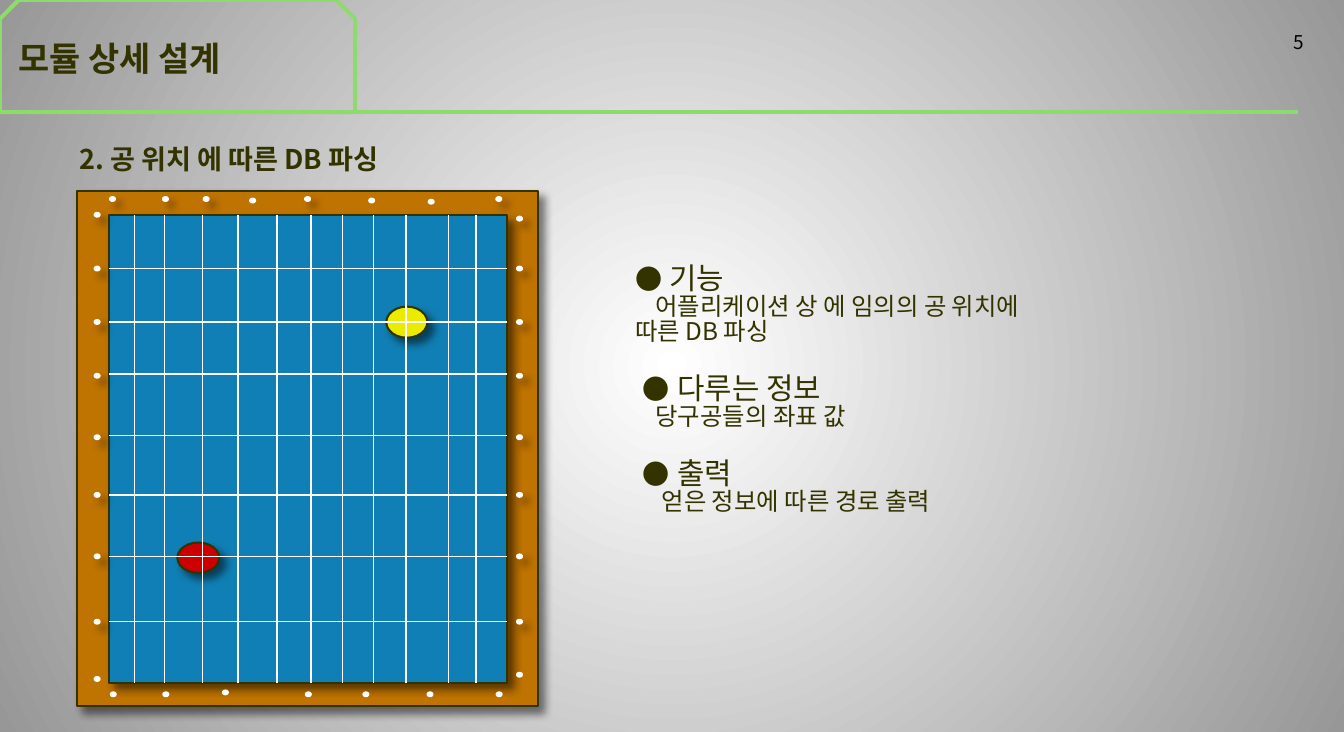
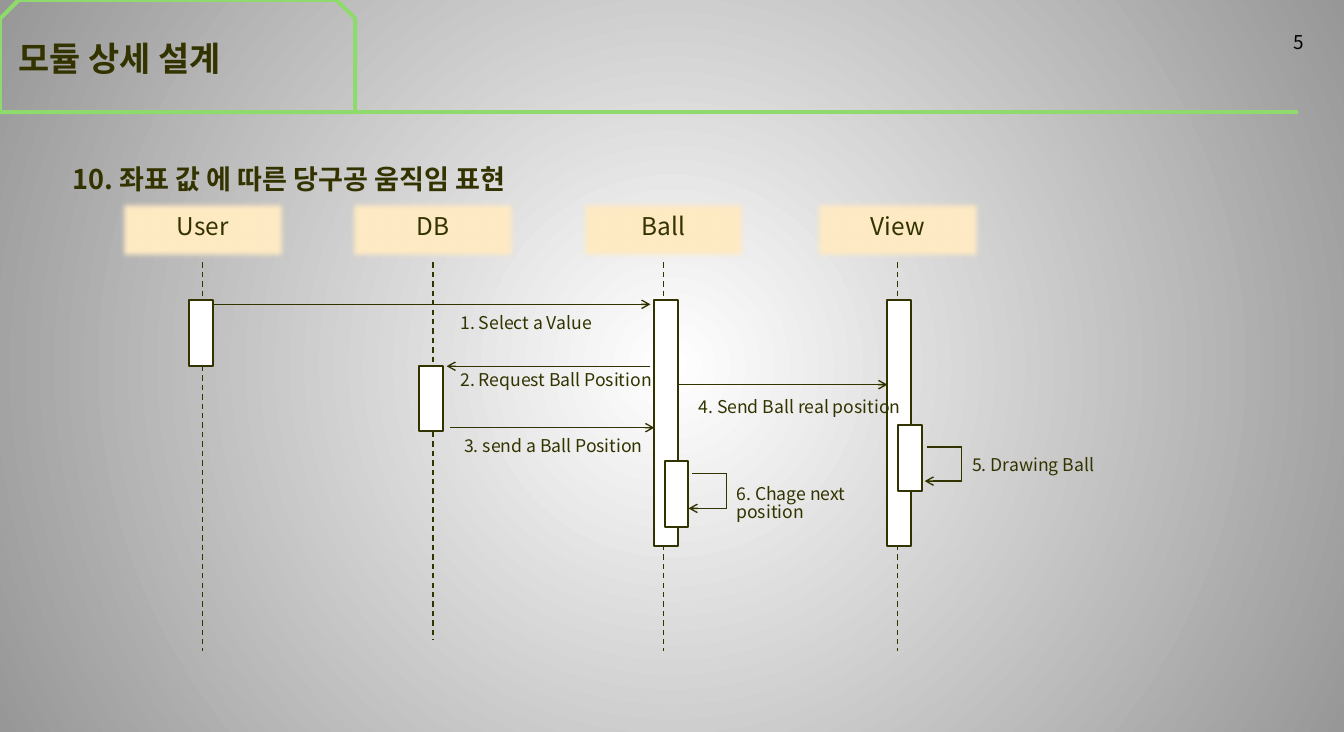
from dataclasses import dataclass

from lxml.etree import SubElement
from pptx import Presentation
from pptx.dml.color import RGBColor
from pptx.enum.dml import MSO_LINE
from pptx.enum.shapes import MSO_CONNECTOR, MSO_SHAPE
from pptx.enum.text import MSO_ANCHOR, PP_ALIGN
from pptx.oxml.ns import qn
from pptx.util import Cm, Pt


@dataclass(frozen=True)
class Theme:
    font: str = "Noto Sans CJK KR"
    ink: str = "333300"
    black: str = "000000"
    white: str = "FFFFFF"
    edge: str = "979797"
    accent: str = "8EDA6D"
    wood: str = "BF7300"
    felt: str = "107FB5"
    red: str = "CC0000"
    yellow: str = "EBEB00"
    lane: str = "FFEBC4"
    title: int = 25
    heading: int = 20
    item: int = 22
    body: int = 18
    label: int = 13
    page: int = 14
    spacing: float = 0.85


T = Theme()

# All lengths are in centimetres.
TITLE, PAGE = "모듈 상세 설계", "5"

# heading, heading offset, description, description indent
POINTS = [
    ("기능", 0, "어플리케이션 상 에 임의의 공 위치에 따른 DB 파싱", 0.53),
    ("다루는 정보", 0.2, "당구공들의 좌표 값", 0.53),
    ("출력", 0.2, "얻은 정보에 따른 경로 출력", 0.69),
]

FRAME = (2, 4.98, 12, 13.4)
FELT = (2.84, 5.59, 10.36, 12.19)
BALLS = [((4.62, 14.12, 1.09, 0.79), T.red), ((10.06, 7.98, 1.07, 0.81), T.yellow)]
ROWS = [6.99, 8.38, 9.73, 11.33, 12.88, 14.48, 16.18]
COLUMNS = [3.51, 4.29, 5.28, 6.2, 7.21, 8.1, 8.92, 9.73, 10.57, 11.68, 12.4]
SIDE_X = (2.53, 13.53)
SIDE_Y = [6.99, 8.38, 9.78, 11.38, 12.88, 14.48, 16.18]
RAISED_DOTS = (
    [(x, y) for x in SIDE_X for y in SIDE_Y]
    + [(2.53, 5.59), (13.53, 5.69)]
    + [(x, 5.18) for x in (2.93, 4.31, 5.37, 8.01, 12.99)]
)
FLAT_DOTS = (
    [(x, 18.07) for x in (2.95, 4.32, 8.03, 9.53, 11.2, 13)]
    + [(5.87, 18.02), (2.53, 17.67), (13.53, 17.56)]
    + [(6.58, 5.22), (9.68, 5.22), (11.23, 5.25)]
)

# name, centre, end of lifeline
LANES = [("User", 5.28, 16.94), ("DB", 11.28, 16.64),
         ("Ball", 17.28, 16.94), ("View", 23.38, 16.94)]
# left, top, height
ACTIVATIONS = [
    (4.93, 7.82, 1.7), (10.92, 9.53, 1.7),
    (17.04, 7.82, 6.4), (23.11, 7.82, 6.4),
    (17.32, 12.01, 1.7), (23.39, 11.07, 1.7),
]
# from x, to x, y
MESSAGES = [(5.54, 16.94, 7.92), (16.94, 11.63, 9.53),
            (11.73, 17.04, 11.13), (17.63, 23.11, 10.01)]
# start x, turn x, end x, upper y, lower y
SELF_CALLS = [(18.03, 18.92, 17.93, 12.32, 13.23),
              (24.13, 25.04, 24.08, 11.63, 12.52)]
# text, left, centre y, width
LABELS = [
    ("1. Select a Value", 11.99, 8.43, 6),
    ("2. Request Ball Position", 11.99, 9.93, 6),
    ("3. send a Ball Position", 12.09, 11.63, 6),
    ("4. Send Ball real position", 18.19, 10.62, 6),
    ("5. Drawing Ball", 25.32, 12.12, 6),
    ("6. Chage next position", 19.18, 13.11, 3.48),
]


def rgb(color):
    return RGBColor.from_string(color)


def add_run(p, text, size, color=T.ink, bold=False):
    r = p.add_run()
    r.text = text
    f = r.font
    f.name, f.size, f.bold = T.font, Pt(size), bold
    f.color.rgb = rgb(color)
    SubElement(r._r.get_or_add_rPr(), qn("a:ea"), typeface=T.font)


def add_box(s, x, y, w, h):
    tf = s.shapes.add_textbox(Cm(x), Cm(y), Cm(w), Cm(h)).text_frame
    tf.word_wrap = True
    tf.margin_left = tf.margin_right = tf.margin_top = tf.margin_bottom = 0
    return tf


def add_text(s, text, x, cy, w, size, color=T.ink, bold=False, align=PP_ALIGN.LEFT):
    """Add a text box centred vertically on cy."""
    h = 1.2
    tf = add_box(s, x, cy - h / 2, w, h)
    tf.vertical_anchor = MSO_ANCHOR.MIDDLE
    p = tf.paragraphs[0]
    p.alignment, p.line_spacing = align, T.spacing
    add_run(p, text, size, color, bold)


def add_shape(s, kind, box, fill=None, line=None, width=1.5, raised=False):
    sp = s.shapes.add_shape(kind, *map(Cm, box))
    sp.shadow.inherit = False
    if fill:
        sp.fill.solid()
        sp.fill.fore_color.rgb = rgb(fill)
    else:
        sp.fill.background()
    if line:
        sp.line.color.rgb = rgb(line)
        sp.line.width = Pt(width)
    else:
        sp.line.fill.background()
    if raised:
        shadow = SubElement(effects(sp), qn("a:outerShdw"), blurRad=str(Pt(6)),
                            dist=str(Pt(6)), dir="2700000", algn="tl", rotWithShape="0")
        color = SubElement(shadow, qn("a:srgbClr"), val=T.black)
        SubElement(color, qn("a:alpha"), val="50000")
    return sp


def effects(sp):
    return sp.element.spPr.find(qn("a:effectLst"))


def add_line(s, x1, y1, x2, y2, color=T.ink, width=1, dashed=False, arrow=False):
    c = s.shapes.add_connector(MSO_CONNECTOR.STRAIGHT, Cm(x1), Cm(y1), Cm(x2), Cm(y2))
    c.line.color.rgb = rgb(color)
    c.line.width = Pt(width)
    if dashed:
        c.line.dash_style = MSO_LINE.DASH
    spPr = c.element.spPr
    if arrow:
        SubElement(spPr.find(qn("a:ln")), qn("a:tailEnd"), type="arrow")
    SubElement(spPr, qn("a:effectLst"))


def set_background(master):
    fill = master.background.fill
    fill.gradient()
    for stop, color in zip(fill.gradient_stops, (T.white, T.edge)):
        stop.color.rgb = rgb(color)
    grad = master.element.find(".//" + qn("p:bg")).find(".//" + qn("a:gradFill"))
    grad.remove(grad.find(qn("a:lin")))
    radial = SubElement(grad, qn("a:path"))
    radial.set("path", "circle")
    SubElement(radial, qn("a:fillToRect"), l="50000", t="50000", r="50000", b="50000")


def add_slide(prs, heading, x, cy):
    """Add a slide with the shared title tab, rule, page number and a heading."""
    s = prs.slides.add_slide(prs.slide_layouts[6])
    add_text(s, PAGE, 26, 1.15, 7.96, T.page, T.black, align=PP_ALIGN.RIGHT)
    tab = add_shape(s, MSO_SHAPE.SNIP_2_SAME_RECTANGLE, (0, 0, 9.25, 2.92),
                    line=T.accent, width=3)
    tab.adjustments[0], tab.adjustments[1] = 0.167, 0
    tab.text_frame.vertical_anchor = MSO_ANCHOR.MIDDLE
    p = tab.text_frame.paragraphs[0]
    p.alignment, p.line_spacing = PP_ALIGN.LEFT, T.spacing
    add_run(p, TITLE, T.title, bold=True)
    add_line(s, 0, 2.92, 33.81, 2.92, T.accent, 3)
    add_text(s, heading, x, cy, 30, T.heading, bold=True)
    return s


def add_dots(s, centres, raised):
    w, h = 0.13, 0.1
    for x, y in centres:
        add_shape(s, MSO_SHAPE.OVAL, (x - w / 2, y - h / 2, w, h),
                  T.white, T.white, raised=raised)


def add_table_board(s):
    for box, color in ((FRAME, T.wood), (FELT, T.felt)):
        add_shape(s, MSO_SHAPE.RECTANGLE, box, color, T.ink, raised=True)
    for box, color in BALLS:
        add_shape(s, MSO_SHAPE.OVAL, box, color, T.ink, raised=True)
    add_dots(s, RAISED_DOTS, True)
    add_dots(s, FLAT_DOTS, False)
    left, top, w, h = FELT
    for y in ROWS:
        add_line(s, left, y, left + w, y, T.white)
    for x in COLUMNS:
        add_line(s, x, top + h, x, top, T.white)


def add_points(s):
    tf = add_box(s, 16.54, 6.91, 10.69, 7.4)
    for i, (item, offset, detail, indent) in enumerate(POINTS):
        p = tf.add_paragraph() if i else tf.paragraphs[0]
        pPr = p._p.get_or_add_pPr()
        pPr.set("marL", str(Cm(offset + 0.9)))
        pPr.set("indent", str(Cm(-0.9)))
        SubElement(pPr, qn("a:buSzPct"), val="91000")
        SubElement(pPr, qn("a:buFont"), typeface=T.font)
        SubElement(pPr, qn("a:buChar"), char="●")
        p.line_spacing = T.spacing
        if i:
            p.space_before = Pt(22)
        add_run(p, item, T.item)
        p = tf.add_paragraph()
        p._p.get_or_add_pPr().set("indent", str(Cm(indent)))
        p.line_spacing = T.spacing
        add_run(p, detail, T.body)


def add_sequence(s):
    top, w, h = 5.13, 4.5, 1.7
    for name, x, end in LANES:
        head = add_shape(s, MSO_SHAPE.RECTANGLE, (x - w / 2, top, w, h), T.lane)
        SubElement(effects(head), qn("a:softEdge"), rad=str(Pt(5)))
        add_text(s, name, x - w / 2, 5.94, w, T.body, align=PP_ALIGN.CENTER)
        add_line(s, x, top + h, x, end, dashed=True)
    for x, y, height in ACTIVATIONS:
        add_shape(s, MSO_SHAPE.RECTANGLE, (x, y, 0.61, height), T.white, T.ink)
    for x1, x2, y in MESSAGES:
        add_line(s, x1, y, x2, y, arrow=True)
    for start, turn, end, upper, lower in SELF_CALLS:
        add_line(s, start, upper, turn, upper)
        add_line(s, turn, upper, turn, lower)
        add_line(s, turn, lower, end, lower, arrow=True)
    for text, x, cy, width in LABELS:
        add_text(s, text, x, cy, width, T.label)


def main():
    prs = Presentation()
    prs.slide_width, prs.slide_height = Cm(35), Cm(19.05)
    set_background(prs.slide_master)
    s = add_slide(prs, "2. 공 위치 에 따른 DB 파싱", 2.06, 4.19)
    add_table_board(s)
    add_points(s)
    s = add_slide(prs, "10. 좌표 값 에 따른 당구공 움직임 표현", 1.88, 4.72)
    add_sequence(s)
    prs.save("out.pptx")


if __name__ == "__main__":
    main()
